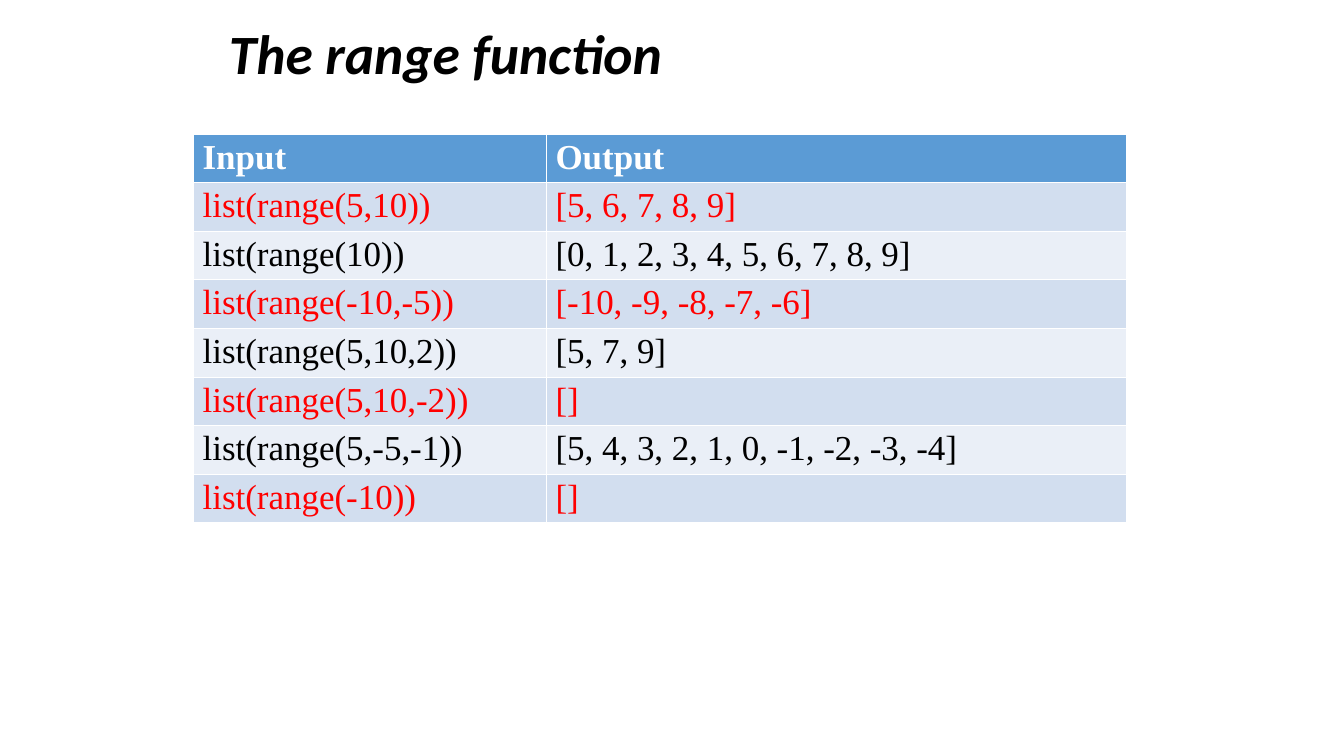
import pptx
import pptx.dml.color
import pptx.enum.text
import pptx.util
from pptx.util import Inches


def rgb(hex_color):
    return pptx.dml.color.RGBColor.from_string(hex_color)


def write(frame, text, *, font, size, color, bold=False, italic=False, line_spacing=None):
    paragraph = frame.paragraphs[0]
    paragraph.alignment = pptx.enum.text.PP_ALIGN.LEFT
    paragraph.line_spacing = line_spacing
    run = paragraph.add_run()
    run.text = text
    run.font.name = font
    run.font.size = pptx.util.Pt(size)
    run.font.bold = bold
    run.font.italic = italic
    run.font.color.rgb = rgb(color)


presentation = pptx.Presentation()
presentation.slide_width = Inches(13.33)
presentation.slide_height = Inches(7.5)
slide = presentation.slides.add_slide(presentation.slide_layouts[5])

heading = slide.shapes.title
heading.left, heading.top = Inches(2.17), Inches(0.3)
heading.width, heading.height = Inches(8.83), Inches(0.53)
heading.text_frame.vertical_anchor = pptx.enum.text.MSO_ANCHOR.MIDDLE
heading.text_frame.auto_size = pptx.enum.text.MSO_AUTO_SIZE.NONE
write(heading.text_frame, "The range function", font="Calibri", size=39.6,
      color="000000", bold=True, italic=True, line_spacing=0.9)

examples = [
    ("Input", "Output"),
    ("list(range(5,10))", "[5, 6, 7, 8, 9]"),
    ("list(range(10))", "[0, 1, 2, 3, 4, 5, 6, 7, 8, 9]"),
    ("list(range(-10,-5))", "[-10, -9, -8, -7, -6]"),
    ("list(range(5,10,2))", "[5, 7, 9]"),
    ("list(range(5,10,-2))", "[]"),
    ("list(range(5,-5,-1))", "[5, 4, 3, 2, 1, 0, -1, -2, -3, -4]"),
    ("list(range(-10))", "[]"),
]

# The default table style draws the white rules, thicker under the header.
range_table = slide.shapes.add_table(
    len(examples), 2, Inches(1.92), Inches(1.33), Inches(9.25), Inches(3.86)).table
range_table.columns[0].width = Inches(3.5)
range_table.columns[1].width = Inches(5.75)

for row, example in enumerate(examples):
    if row == 0:
        fill, color = "5B9BD5", "FFFFFF"
    elif row % 2:
        fill, color = "D2DEEF", "FF0000"
    else:
        fill, color = "EAEFF7", "000000"
    for column, text in enumerate(example):
        cell = range_table.cell(row, column)
        cell.fill.solid()
        cell.fill.fore_color.rgb = rgb(fill)
        cell.margin_left = cell.margin_right = Inches(0.09)
        cell.margin_top = cell.margin_bottom = Inches(0.04)
        write(cell.text_frame, text, font="Times New Roman", size=25,
              color=color, bold=row == 0)

presentation.save("out.pptx")
